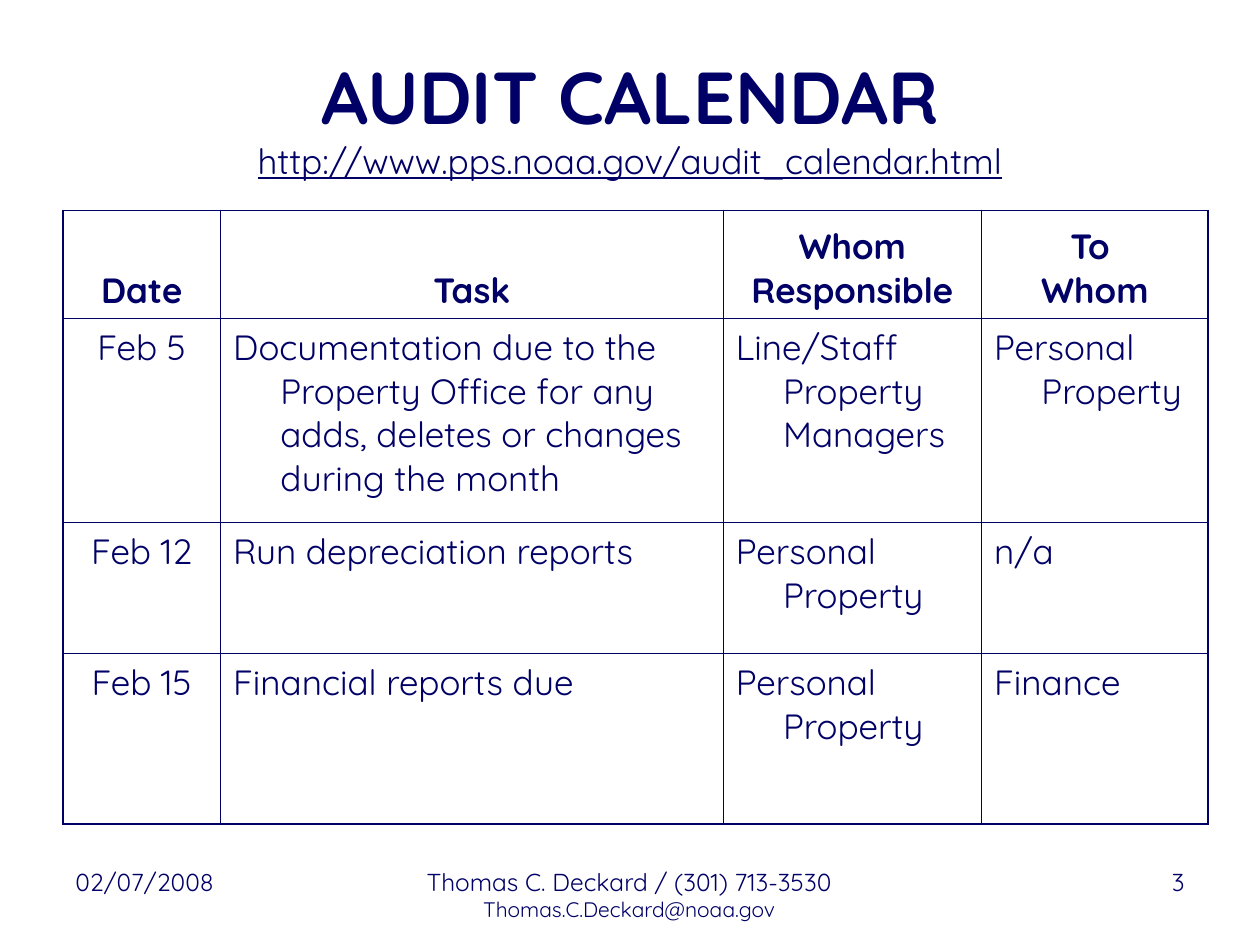
"""Build the audit calendar slide."""
from dataclasses import dataclass

import lxml.etree
import pptx
import pptx.dml.color
import pptx.enum.text
import pptx.oxml.ns
import pptx.util

ALIGN = pptx.enum.text.PP_ALIGN
ANCHOR = pptx.enum.text.MSO_ANCHOR


@dataclass(frozen=True)
class Theme:
    font: str = "Quicksand"
    ink: str = "000066"
    paper: str = "FFFFFF"
    title: int = 42
    body: int = 20
    footer: int = 14
    small: int = 12
    outer: float = 1.08
    inner: float = 0.75
    indent: float = 3.75


class Deck:
    """Hold the theme and current slide, measured on a 100 by 75 grid."""

    def __init__(self, prs, theme):
        self.prs, self.theme = prs, theme
        self.s = prs.slides.add_slide(prs.slide_layouts[6])

    def x(self, cols):
        return round(self.prs.slide_width * cols / 100)

    def y(self, rows):
        return round(self.prs.slide_height * rows / 75)

    def run(self, p, text, size, bold=False, underline=False):
        r = p.add_run()
        r.text = text
        r.font.name, r.font.size = self.theme.font, pptx.util.Pt(size)
        r.font.bold, r.font.underline = bold, underline
        r.font.color.rgb = pptx.dml.color.RGBColor.from_string(self.theme.ink)

    def box(self, left, top, width, height, align, anchor=ANCHOR.TOP):
        sp = self.s.shapes.add_textbox(self.x(left), self.y(top), self.x(width), self.y(height))
        tf = sp.text_frame
        tf.word_wrap, tf.vertical_anchor = True, anchor
        tf.paragraphs[0].alignment = align
        return tf

    def title(self, heading, address):
        p = self.box(5, 3, 90, 12.5, ALIGN.CENTER, ANCHOR.MIDDLE).paragraphs[0]
        self.run(p, heading, self.theme.title, bold=True)
        p.add_line_break()
        self.run(p, address, self.theme.body, underline=True)

    def footer(self, left, width, align, text, detail=None):
        tf = self.box(left, 68.3, width, 5.2, align)
        self.run(tf.paragraphs[0], text, self.theme.footer)
        if detail:
            p = tf.add_paragraph()
            p.alignment = align
            self.run(p, detail, self.theme.small)

    def border(self, cell, side, width):
        qn = pptx.oxml.ns.qn
        ln = lxml.etree.SubElement(cell._tc.get_or_add_tcPr(), qn(f"a:ln{side}"),
                                   w=str(int(pptx.util.Pt(width))))
        fill = lxml.etree.SubElement(ln, qn("a:solidFill"))
        lxml.etree.SubElement(fill, qn("a:srgbClr"), val=self.theme.ink)

    def cell(self, cell, text, header, align, edges):
        for side, is_edge in edges.items():
            self.border(cell, side, self.theme.outer if is_edge else self.theme.inner)
        cell.fill.solid()
        cell.fill.fore_color.rgb = pptx.dml.color.RGBColor.from_string(self.theme.paper)
        cell.vertical_anchor = ANCHOR.BOTTOM if header else ANCHOR.TOP
        tf = cell.text_frame
        for i, line in enumerate(text.split("\n")):
            p = tf.add_paragraph() if i else tf.paragraphs[0]
            p.alignment = align
            indent = self.x(self.theme.indent)
            pPr = p._p.get_or_add_pPr()
            pPr.set("marL", str(indent))
            pPr.set("indent", str(-indent))
            self.run(p, line, self.theme.body, bold=header)

    def table(self, left, top, widths, heights, rows):
        frame = self.s.shapes.add_table(len(rows), len(widths), self.x(left), self.y(top),
                                        self.x(sum(widths)), self.y(sum(heights)))
        tbl = frame.table
        tbl.first_row = tbl.horz_banding = False
        for col, width in zip(tbl.columns, widths):
            col.width = self.x(width)
        for i, (height, row) in enumerate(zip(heights, rows)):
            tbl.rows[i].height = self.y(height)
            for j, text in enumerate(row):
                edges = {"L": j == 0, "R": j == len(widths) - 1,
                         "T": i == 0, "B": i == len(rows) - 1}
                align = ALIGN.CENTER if i == 0 or j == 0 else ALIGN.LEFT
                self.cell(tbl.cell(i, j), text, i == 0, align, edges)


def main():
    prs = pptx.Presentation()
    prs.slide_width, prs.slide_height = pptx.util.Inches(10), pptx.util.Inches(7.5)
    deck = Deck(prs, Theme())
    deck.footer(5, 23.3, ALIGN.LEFT, "02/07/2008")
    deck.footer(28.3, 43.3, ALIGN.CENTER, "Thomas C. Deckard / (301) 713-3530",
                "Thomas.C.Deckard@noaa.gov")
    deck.footer(71.7, 23.3, ALIGN.RIGHT, "3")
    deck.title("AUDIT CALENDAR", "http://www.pps.noaa.gov/audit_calendar.html")
    deck.table(5, 16.7, [12.5, 39.9, 20.5, 18], [8.6, 16.2, 10.4, 13.5], [
        ["Date", "Task", "Whom\nResponsible", "To \nWhom"],
        ["Feb 5", "Documentation due to the Property Office for any adds, deletes or "
         "changes during the month", "Line/Staff Property Managers", "Personal Property"],
        ["Feb 12", "Run depreciation reports", "Personal Property", "n/a"],
        ["Feb 15", "Financial reports due", "Personal Property", "Finance"],
    ])
    prs.save("out.pptx")


if __name__ == "__main__":
    main()
